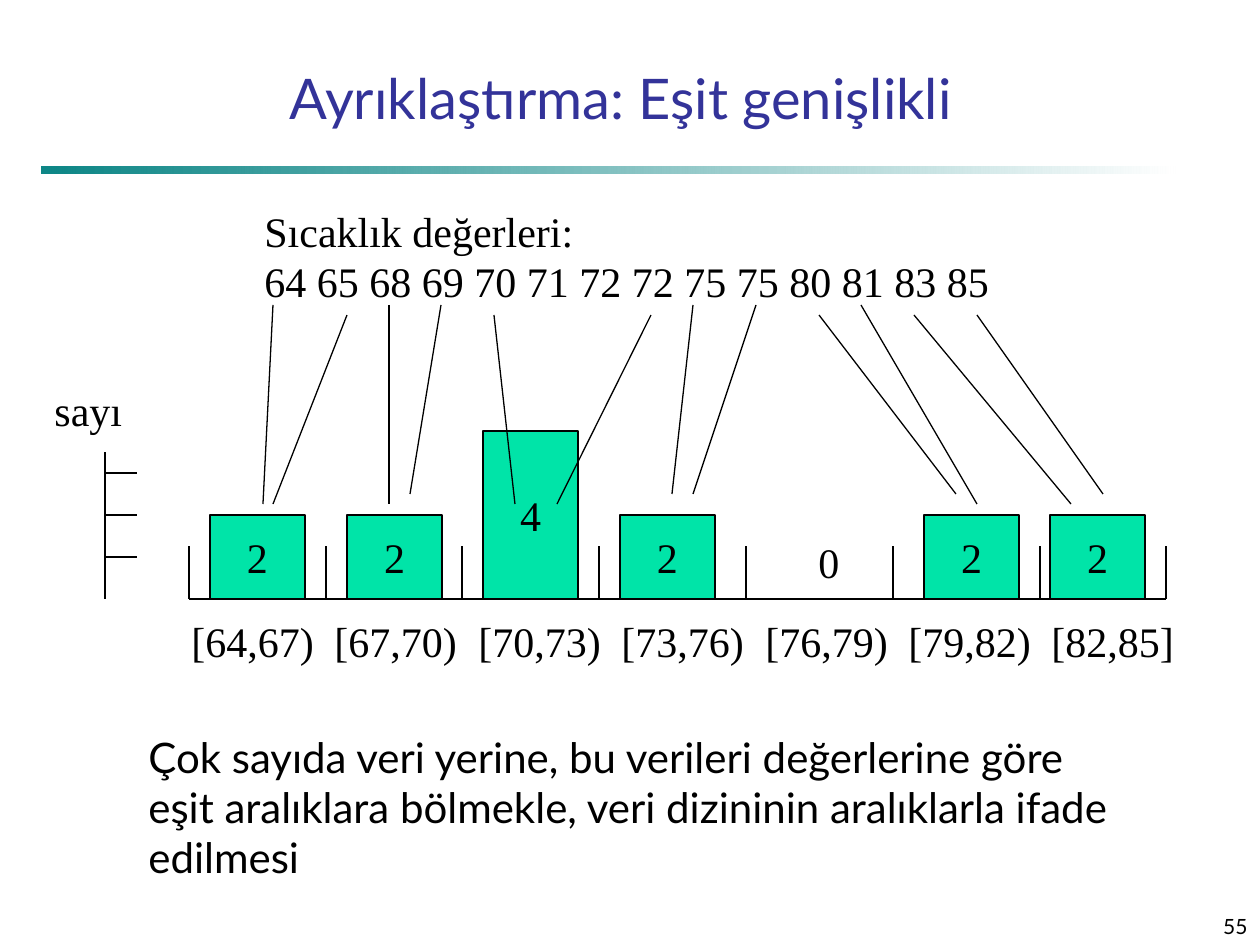
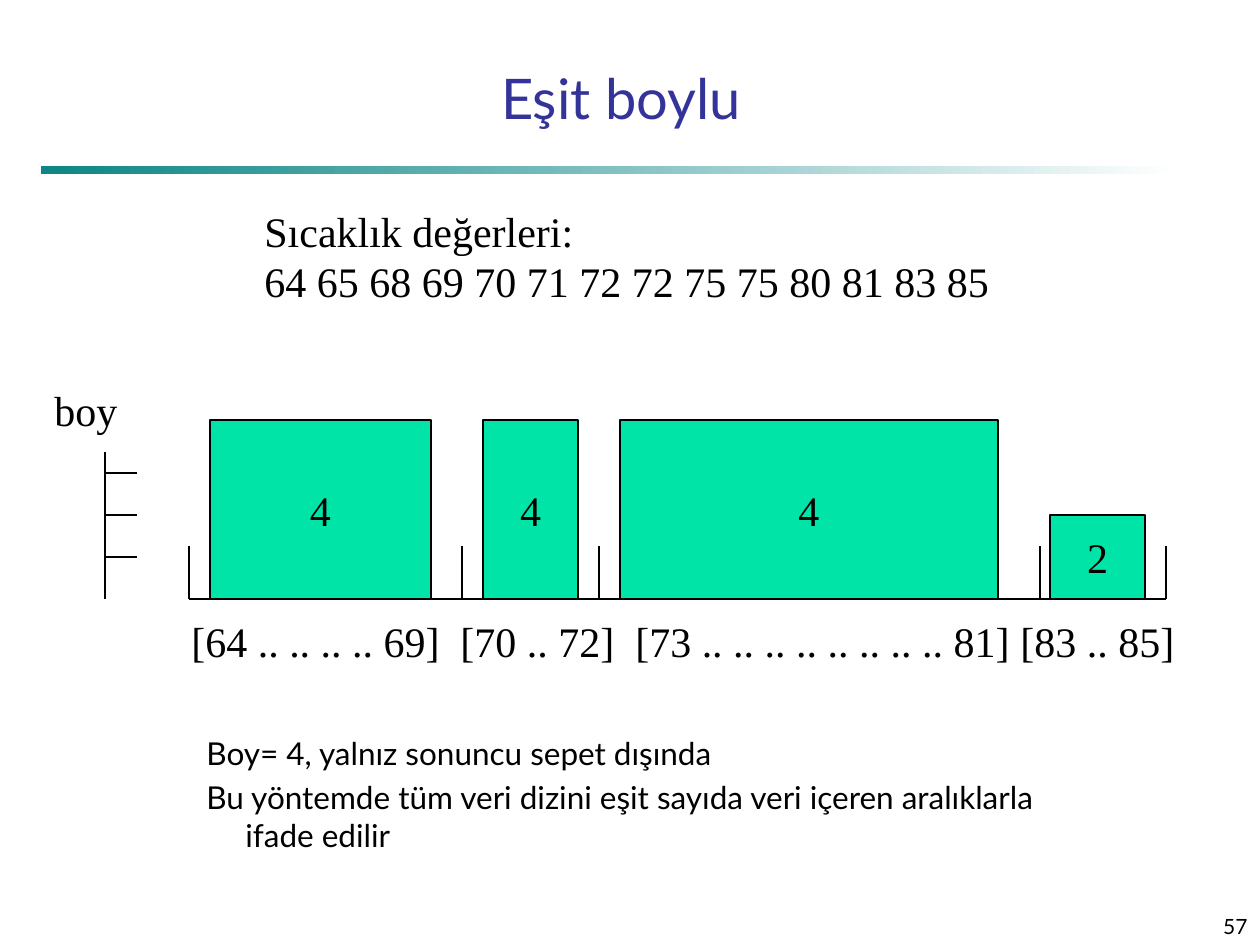
"""Build two slides on equal-width and equal-depth discretisation."""
import pptx
import pptx.dml.color
import pptx.enum.dml
import pptx.enum.shapes
import pptx.enum.text
import pptx.oxml
import pptx.oxml.ns
import pptx.util
from lxml import etree

SERIF, SANS = "Times New Roman", "Lato"
BLACK, TITLE_BLUE, BAR_GREEN, TEAL, WHITE = "000000", "333399", "00E4A8", "008080", "FFFFFF"
PX = 914400 / 126
BASELINE, COUNT_STEP, INSET = 599, 42, 13
AXIS_LEFT, AXIS_RIGHT, BIN_TICK_TOP = 189, 1166, 546
SCALE_X, SCALE_TOP, SCALE_TICK = 105, 452, 32
LABEL_BOX = (179, 609, 1009, 63)
TEMPERATURES = ["Sıcaklık değerleri:", "64 65 68 69 70 71 72 72 75 75 80 81 83 85"]

SLIDES = [
    {
        "title": "Ayrıklaştırma: Eşit genişlikli",
        "number": "55",
        "scale": "sayı",
        "bin_edges": [189, 326, 462, 599, 746, 893, 1040, 1166],
        "bars": [(210, 95, 84, "2"), (347, 95, 84, "2"), (483, 95, 168, "4"),
                 (620, 95, 84, "2"), (924, 95, 84, "2"), (1050, 95, 84, "2")],
        "intervals": ["[64,67)", "[67,70)", "[70,73)", "[73,76)", "[76,79)", "[79,82)", "[82,85]"],
        "interval_stops": [round(143.4 * i) for i in range(1, 7)],
        "links": [(273, 305, 263, 504), (347, 315, 273, 504), (389, 305, 389, 504),
                  (441, 305, 410, 494), (494, 315, 515, 504), (651, 315, 557, 504),
                  (693, 305, 672, 494), (756, 305, 693, 494), (819, 315, 956, 494),
                  (861, 305, 977, 504), (914, 315, 1071, 504), (977, 315, 1103, 494)],
        "empty_bin": ("0", (806, 530, 47, 63)),
        "note": ["Çok sayıda veri yerine, bu verileri değerlerine göre eşit aralıklara "
                 "bölmekle, veri dizininin aralıklarla ifade edilmesi"],
        "note_box": (136, 725, 1008, 165),
        "note_style": {"size": 24},
    },
    {
        "title": "Eşit boylu",
        "number": "57",
        "scale": "boy",
        "bin_edges": [189, 462, 599, 1040, 1166],
        "bars": [(210, 221, 179, "4"), (483, 95, 179, "4"), (620, 378, 179, "4"), (1050, 95, 84, "2")],
        "intervals": ["[64 .. .. .. .. 69]", "[70 .. 72]", "[73 .. .. .. .. .. .. .. .. 81]", "[83 .. 85]"],
        "interval_stops": [269, 444, 829],
        "links": [],
        "empty_bin": None,
        "note": ["Boy= 4, yalnız sonuncu sepet dışında",
                 "Bu yöntemde tüm veri dizini eşit sayıda veri içeren aralıklarla ifade edilir"],
        "note_box": (131, 728, 949, 154),
        "note_style": {"size": 18, "hanging": (102, -39), "gap": 3.6},
    },
]


def px(length):
    return round(length * PX)


def rgb(hex_code):
    return pptx.dml.color.RGBColor.from_string(hex_code)


def write(frame, lines, size=24, font=SERIF, color=BLACK, align="LEFT", anchor="TOP",
          wrap=True, stops=(), hanging=None, gap=0):
    frame.word_wrap = wrap
    frame.auto_size = pptx.enum.text.MSO_AUTO_SIZE.NONE
    frame.vertical_anchor = getattr(pptx.enum.text.MSO_ANCHOR, anchor)
    for index, line in enumerate(lines):
        paragraph = frame.add_paragraph() if index else frame.paragraphs[0]
        paragraph.text = line
        paragraph.alignment = getattr(pptx.enum.text.PP_ALIGN, align)
        if index and gap:
            paragraph.space_before = pptx.util.Pt(gap)
        properties = paragraph._p.get_or_add_pPr()
        if hanging:
            properties.set("marL", str(px(hanging[0])))
            properties.set("indent", str(px(hanging[1])))
        if stops:
            tabs = etree.SubElement(properties, pptx.oxml.ns.qn("a:tabLst"))
            for stop in stops:
                etree.SubElement(tabs, pptx.oxml.ns.qn("a:tab"), pos=str(px(stop)), algn="l")
        paragraph.font.size = pptx.util.Pt(size)
        paragraph.font.name = font
        paragraph.font.color.rgb = rgb(color)


def add_text(slide, box, lines, **style):
    write(slide.shapes.add_textbox(*map(px, box)).text_frame, lines, **style)


def add_line(slide, *ends):
    line = slide.shapes.add_connector(pptx.enum.shapes.MSO_CONNECTOR.STRAIGHT, *map(px, ends))
    line.line.color.rgb = rgb(BLACK)
    line.line.width = pptx.util.Pt(0.75)
    etree.SubElement(line._element.spPr, pptx.oxml.ns.qn("a:effectLst"))


def add_rectangle(slide, *box):
    rectangle = slide.shapes.add_shape(pptx.enum.shapes.MSO_SHAPE.RECTANGLE, *map(px, box))
    rectangle.shadow.inherit = False
    return rectangle


def add_bar(slide, left, width, height, count):
    bar = add_rectangle(slide, left, BASELINE - height, width, height)
    bar.fill.solid()
    bar.fill.fore_color.rgb = rgb(BAR_GREEN)
    bar.line.color.rgb = rgb(BLACK)
    bar.line.width = pptx.util.Pt(0.75)
    write(bar.text_frame, [count], align="CENTER", anchor="MIDDLE", wrap=False)


def add_frame(slide, title, number):
    band = add_rectangle(slide, 42, 167, 1134, 7)
    band.line.fill.background()
    band.fill.gradient()
    band.fill.gradient_angle = 0
    for stop, color, position in zip(band.fill.gradient_stops, (TEAL, WHITE), (0, 1)):
        stop.color.rgb = rgb(color)
        stop.position = position
    teal = next(band._element.iter(pptx.oxml.ns.qn("a:srgbClr")))
    etree.SubElement(teal, pptx.oxml.ns.qn("a:alpha"), val="95000")
    add_text(slide, (998, 892, 262, 53), [number], size=12, font=SANS, align="RIGHT", anchor="BOTTOM")
    heading = slide.shapes.title
    heading.left, heading.top, heading.width, heading.height = map(px, (84, 53, 1074, 84))
    write(heading.text_frame, [title], size=32, font=SANS, color=TITLE_BLUE,
          align="CENTER", anchor="BOTTOM")


def add_histogram(slide, content):
    add_line(slide, AXIS_LEFT, BASELINE, AXIS_RIGHT, BASELINE)
    for edge in content["bin_edges"]:
        add_line(slide, edge, BASELINE, edge, BIN_TICK_TOP)
    add_line(slide, SCALE_X, BASELINE, SCALE_X, SCALE_TOP)
    for step in range(1, 4):
        height = BASELINE - step * COUNT_STEP
        add_line(slide, SCALE_X, height, SCALE_X + SCALE_TICK, height)
    add_text(slide, (42, 378, 93, 63), [content["scale"]], wrap=False)
    add_text(slide, LABEL_BOX, ["\t".join(content["intervals"])], stops=content["interval_stops"])
    for bar in content["bars"]:
        add_bar(slide, *bar)
    for link in content["links"]:
        add_line(slide, *link)
    if content["empty_bin"]:
        count, box = content["empty_bin"]
        add_text(slide, box, [count], wrap=False)


def main():
    deck = pptx.Presentation()
    deck.slide_width, deck.slide_height = px(1260), px(945)
    for content in SLIDES:
        slide = deck.slides.add_slide(deck.slide_layouts[5])
        add_frame(slide, content["title"], content["number"])
        add_text(slide, (252, 199, 750, 164), TEMPERATURES)
        add_histogram(slide, content)
        add_text(slide, content["note_box"], content["note"], font=SANS, **content["note_style"])
    deck.save("out.pptx")


if __name__ == "__main__":
    main()
